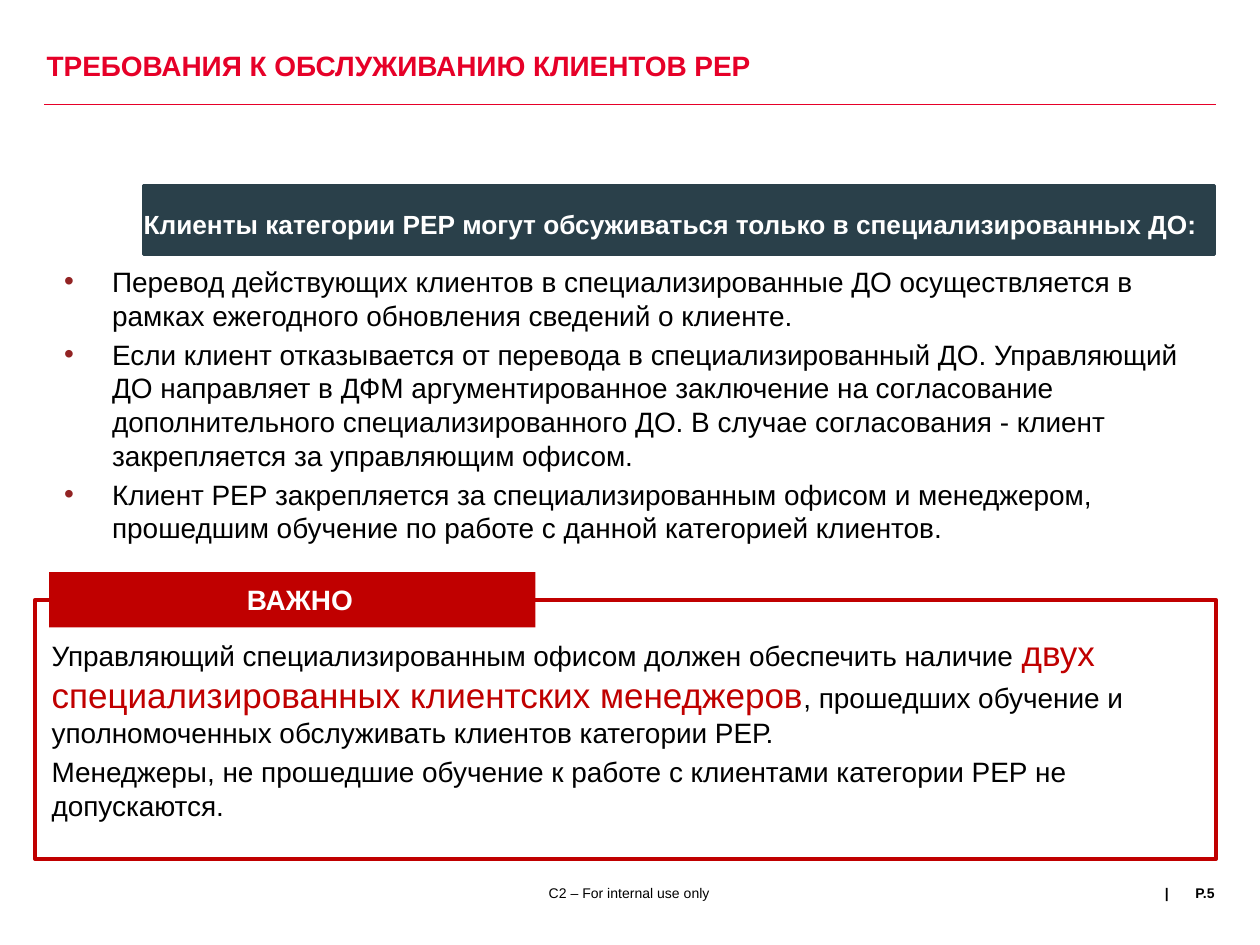
import pptx
import pptx.util
import pptx.dml.color
import pptx.enum.shapes
import pptx.enum.text
from lxml import etree
from pptx.oxml.ns import qn

Inches = pptx.util.Inches
Pt = pptx.util.Pt
ALIGN = pptx.enum.text.PP_ALIGN
ANCHOR = pptx.enum.text.MSO_ANCHOR

COLORS = {
    "title": "E60028",
    "bullet": "922323",
    "banner": "2A404A",
    "accent": "C00000",
    "text": "000000",
    "white": "FFFFFF",
}

REQUIREMENTS = [
    "Перевод действующих клиентов в специализированные ДО осуществляется в "
    "рамках ежегодного обновления сведений о клиенте.",
    "Если клиент отказывается от перевода в специализированный ДО. Управляющий "
    "ДО направляет в ДФМ аргументированное заключение на согласование "
    "дополнительного специализированного ДО. В случае согласования - клиент "
    "закрепляется за управляющим офисом.",
    "Клиент РЕР закрепляется за специализированным офисом и менеджером, "
    "прошедшим обучение по работе с данной категорией клиентов.",
]

# Each run: text, size, colour key, bold
IMPORTANT = [
    [
        ("Управляющий специализированным офисом должен обеспечить наличие ", 16, "text", False),
        ("двух специализированных клиентских менеджеров", 20, "accent", False),
        (", прошедших обучение и уполномоченных обслуживать клиентов категории РЕР.",
         16, "text", False),
    ],
    [("Менеджеры, не прошедшие обучение к работе с клиентами категории РЕР не "
      "допускаются.", 16, "text", False)],
]


def rgb(key):
    return pptx.dml.color.RGBColor.from_string(COLORS[key])


def place(shape, box):
    shape.left, shape.top, shape.width, shape.height = (Inches(v) for v in box)


def add_bullet(paragraph):
    properties = paragraph._p.get_or_add_pPr()
    properties.set("marL", str(Inches(0.38)))
    properties.set("indent", str(-Inches(0.38)))
    color = etree.SubElement(properties, qn("a:buClr"))
    etree.SubElement(color, qn("a:srgbClr")).set("val", COLORS["bullet"])
    etree.SubElement(properties, qn("a:buFont")).set("typeface", "Arial")
    etree.SubElement(properties, qn("a:buChar")).set("char", "•")


def write(shape, paragraphs, align=ALIGN.LEFT, anchor=ANCHOR.TOP, wrap=True,
          bulleted=False, line_spacing=None):
    frame = shape.text_frame
    frame.margin_left = frame.margin_top = frame.margin_right = frame.margin_bottom = 0
    frame.word_wrap = wrap
    frame.auto_size = pptx.enum.text.MSO_AUTO_SIZE.NONE
    frame.vertical_anchor = anchor
    for index, runs in enumerate(paragraphs):
        paragraph = frame.add_paragraph() if index else frame.paragraphs[0]
        if bulleted:
            add_bullet(paragraph)
        paragraph.alignment = align
        paragraph.space_before = Pt(3.2 if index else 0)
        if line_spacing:
            paragraph.line_spacing = line_spacing
        for text, size, color, bold in runs:
            run = paragraph.add_run()
            run.text = text
            run.font.name = "Arial"
            run.font.size = Pt(size)
            run.font.bold = bold
            run.font.color.rgb = rgb(color)


def add_text(slide, box, paragraphs, **layout):
    write(slide.shapes.add_textbox(*(Inches(v) for v in box)), paragraphs, **layout)


def add_rectangle(slide, box, fill=None, line=None, width=0):
    rectangle = slide.shapes.add_shape(
        pptx.enum.shapes.MSO_SHAPE.RECTANGLE, *(Inches(v) for v in box))
    rectangle.shadow.inherit = False
    if fill:
        rectangle.fill.solid()
        rectangle.fill.fore_color.rgb = rgb(fill)
    else:
        rectangle.fill.background()
    if line:
        rectangle.line.color.rgb = rgb(line)
        rectangle.line.width = Pt(width)
    else:
        rectangle.line.fill.background()


def add_header(slide, box):
    left, top, width, height = box
    place(slide.shapes.title, (left + 0.02, top, 8.56, height))
    write(slide.shapes.title,
          [[("ТРЕБОВАНИЯ К ОБСЛУЖИВАНИЮ КЛИЕНТОВ РЕР", 16, "title", True)]],
          anchor=ANCHOR.MIDDLE, line_spacing=0.7)
    bottom = Inches(top + height)
    rule = slide.shapes.add_connector(
        pptx.enum.shapes.MSO_CONNECTOR.STRAIGHT,
        Inches(left), bottom, Inches(left + width), bottom)
    rule.line.color.rgb = rgb("title")
    rule.line.width = Pt(0.5)
    etree.SubElement(rule._element.spPr, qn("a:effectLst"))


def add_banner(slide, box):
    left, top, width, height = box
    add_rectangle(slide, box, fill="banner", line="banner", width=1.5)
    add_text(slide, (left, top + 0.18, width, height - 0.18),
             [[("Клиенты категории РЕР могут обсуживаться только в "
                "специализированных ДО:", 15, "white", True)]])


def add_requirements(slide, box):
    body = slide.placeholders[1]
    place(body, box)
    write(body, [[(text, 16, "text", False)] for text in REQUIREMENTS], bulleted=True)


def add_important(slide, box):
    left, top, width, height = box
    add_text(slide, (left + 0.13, top + 0.25, 9.13, height - 0.25), IMPORTANT)
    add_rectangle(slide, box, line="accent", width=2.25)
    # Label overlapping the top edge of the frame
    add_rectangle(slide, (left + 0.11, top - 0.22, 3.86, 0.44), fill="accent")
    add_text(slide, (left + 0.23, top - 0.14, 3.74, 0.37),
             [[("ВАЖНО", 16, "white", True)]], align=ALIGN.CENTER)


def add_footer(slide, box):
    left, top, width, height = box
    right = left + width
    add_text(slide, (3.03, top, 3.93, height),
             [[("C2 – For internal use only", 8, "text", False)]], align=ALIGN.CENTER)
    add_text(slide, (right - 0.42, top, 0.08, height),
             [[("|", 8, "text", True)]], align=ALIGN.CENTER, wrap=False)
    add_text(slide, (right - 0.39, top, 0.39, height),
             [[("P.5", 8, "text", True)]], align=ALIGN.RIGHT)


def main():
    deck = pptx.Presentation()
    deck.slide_width, deck.slide_height = Inches(10), Inches(7.5)
    slide = deck.slides.add_slide(deck.slide_layouts[1])
    add_header(slide, (0.35, 0.28, 9.3, 0.55))
    add_banner(slide, (1.14, 1.47, 8.5, 0.55))
    add_requirements(slide, (0.51, 2.1, 9.13, 2.52))
    add_important(slide, (0.28, 4.76, 9.37, 2.06))
    add_footer(slide, (0.35, 7.02, 9.29, 0.48))
    deck.save("out.pptx")


if __name__ == "__main__":
    main()
